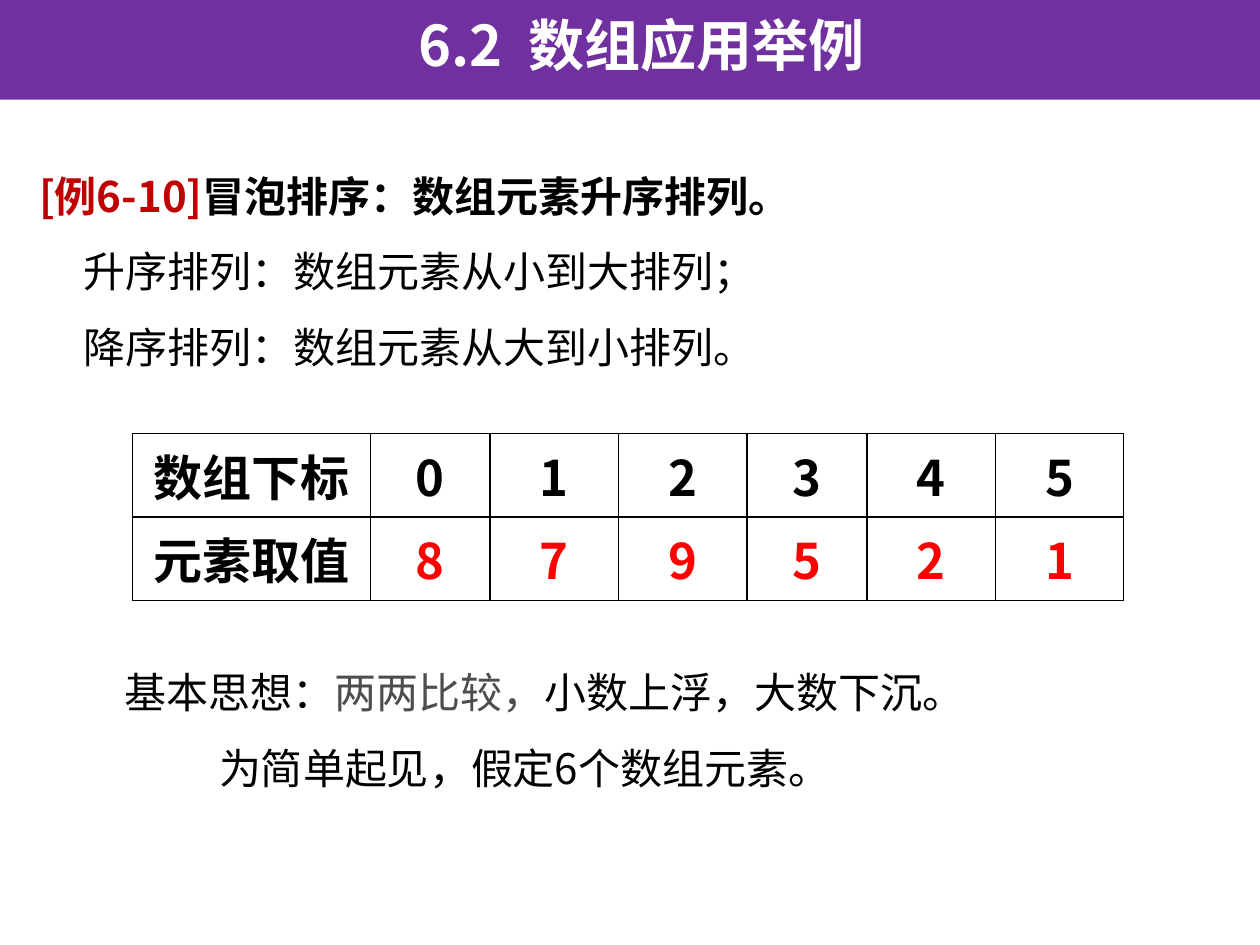
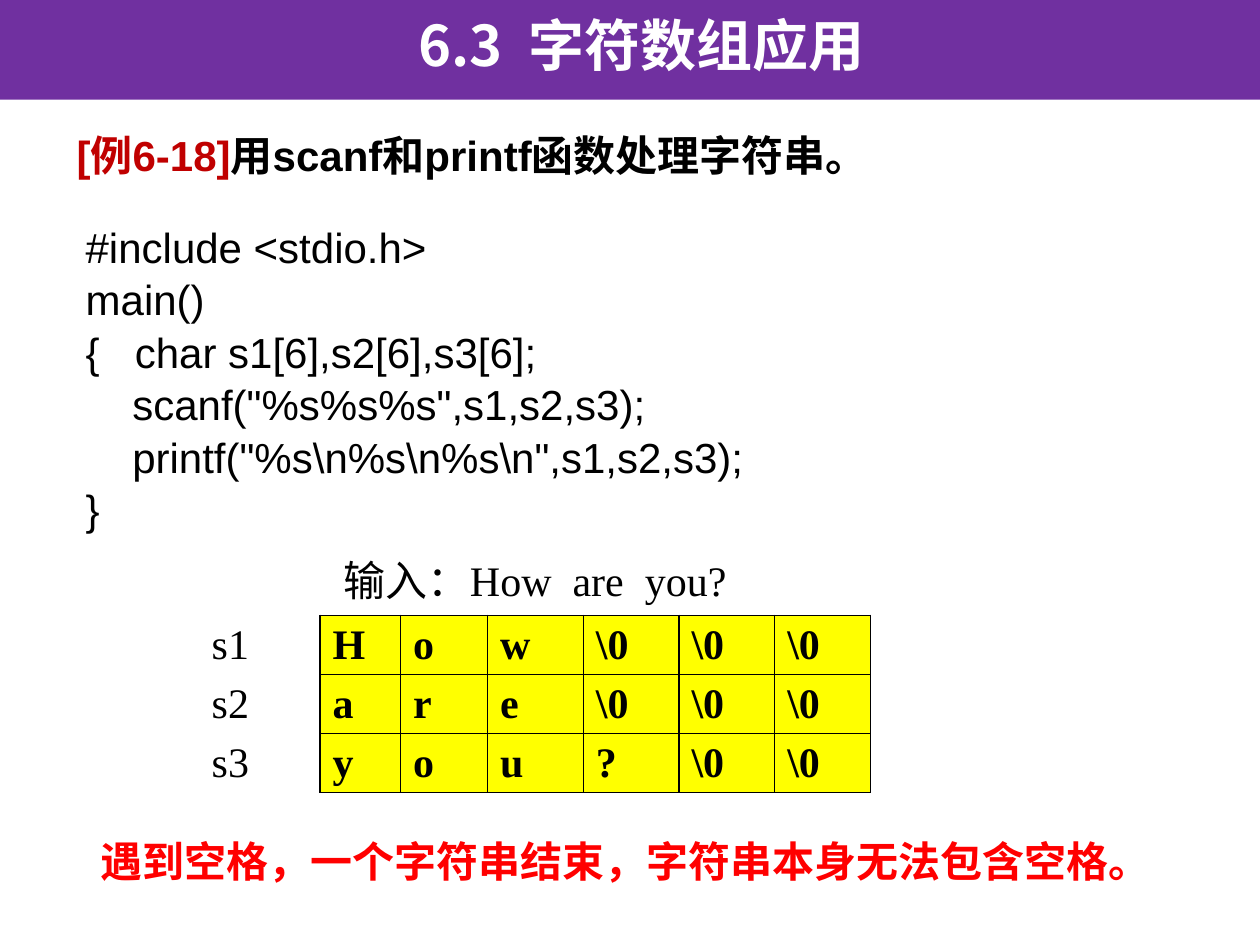
from dataclasses import dataclass
from typing import Optional

import pptx
import pptx.dml.color
import pptx.enum.text
import pptx.oxml.ns
import pptx.util
from lxml import etree

Inches = pptx.util.Inches
Pt = pptx.util.Pt
PP_ALIGN = pptx.enum.text.PP_ALIGN
MSO_ANCHOR = pptx.enum.text.MSO_ANCHOR

CJK, SANS, SERIF = "Noto Sans CJK SC", "Arial", "Times New Roman"
BLACK, WHITE, GREY = "000000", "FFFFFF", "4D4D4D"
PURPLE, DARK_RED, RED, YELLOW = "7030A0", "C00000", "FF0000", "FFFF00"
NO_STYLE = "{2D5ABB26-0587-4C30-8999-92F81FD0307C}"
WIDE_LINE, TIGHT_LINE, CODE_LINE, TITLE_LINE = 43.2, 28.8, 30, 38.4


@dataclass
class Run:
    text: str
    color: str = BLACK
    bold: bool = False
    font: str = CJK
    size: float = 24


@dataclass
class Para:
    runs: list[Run]
    left: float = 0
    first: float = 0
    line: Optional[float] = None
    align: PP_ALIGN = PP_ALIGN.LEFT


@dataclass
class Box:
    left: float
    top: float
    width: float
    height: float

    def lengths(self) -> list[int]:
        return [Inches(v) for v in (self.left, self.top, self.width, self.height)]


def rgb(color: str) -> pptx.dml.color.RGBColor:
    return pptx.dml.color.RGBColor.from_string(color)


def add_run(p, run: Run) -> None:
    r = p.add_run()
    r.text = run.text
    r.font.name = run.font
    r.font.size = Pt(run.size)
    r.font.bold = run.bold
    r.font.color.rgb = rgb(run.color)
    ea = etree.SubElement(r.font._element, pptx.oxml.ns.qn("a:ea"))
    ea.set("typeface", CJK)


def write(tf, paras: list[Para]) -> None:
    for i, para in enumerate(paras):
        p = tf.paragraphs[0] if i == 0 else tf.add_paragraph()
        p.alignment = para.align
        p.space_before = p.space_after = Pt(0)
        if para.line:
            p.line_spacing = Pt(para.line)
        pPr = p._p.get_or_add_pPr()
        pPr.set("marL", str(Inches(para.left)))
        pPr.set("indent", str(Inches(para.first)))
        etree.SubElement(pPr, pptx.oxml.ns.qn("a:buNone"))
        for run in para.runs:
            add_run(p, run)


def fill_text(sp, box: Box, paras: list[Para], top: float = 0.08, right: float = 0.1) -> None:
    sp.left, sp.top, sp.width, sp.height = box.lengths()
    tf = sp.text_frame
    tf.word_wrap = True
    tf.auto_size = pptx.enum.text.MSO_AUTO_SIZE.NONE
    tf.vertical_anchor = MSO_ANCHOR.TOP
    tf.margin_left, tf.margin_right = Inches(0.1), Inches(right)
    tf.margin_top, tf.margin_bottom = Inches(top), Inches(0.05)
    write(tf, paras)


def add_text(slide, box: Box, paras: list[Para], right: float = 0.1) -> None:
    fill_text(slide.shapes.add_textbox(*box.lengths()), box, paras, right=right)


def add_slide(prs, title: str):
    slide = prs.slides.add_slide(prs.slide_layouts[1])
    sp = slide.shapes.title
    sp.fill.solid()
    sp.fill.fore_color.rgb = rgb(PURPLE)
    run = Run(title, WHITE, True, size=32)
    fill_text(sp, Box(-0.03, 0, 10.04, 0.79),
              [Para([run], left=0.2, line=TITLE_LINE, align=PP_ALIGN.CENTER)])
    return slide


def add_table(slide, box: Box, widths: list[float], rows: int):
    table = slide.shapes.add_table(rows, len(widths), *box.lengths()).table
    table.first_row = table.horz_banding = False
    table._tbl.tblPr.find(pptx.oxml.ns.qn("a:tableStyleId")).text = NO_STYLE
    for col, width in zip(table.columns, widths):
        col.width = Inches(width)
    return table


def set_cell(cell, para: Para, edges: str = "LRTB", fill: Optional[str] = None) -> None:
    tcPr = cell._tc.get_or_add_tcPr()
    for edge in edges:
        ln = etree.SubElement(tcPr, pptx.oxml.ns.qn(f"a:ln{edge}"), w=str(Pt(1)))
        solid = etree.SubElement(ln, pptx.oxml.ns.qn("a:solidFill"))
        etree.SubElement(solid, pptx.oxml.ns.qn("a:srgbClr"), val=BLACK)
    if fill:
        cell.fill.solid()
        cell.fill.fore_color.rgb = rgb(fill)
    else:
        cell.fill.background()
    cell.vertical_anchor = MSO_ANCHOR.MIDDLE
    write(cell.text_frame, [para])


def bubble_sort_slide(prs) -> None:
    slide = add_slide(prs, "6.2  数组应用举例")
    fill_text(slide.placeholders[1], Box(0.21, 1.07, 9.57, 1.89), [
        Para([Run("[例6-10]", DARK_RED, True),
              Run("冒泡排序：数组元素升序排列。", bold=True)], line=WIDE_LINE),
        Para([Run("升序排列：数组元素从小到大排列；")], left=0.35, line=WIDE_LINE),
        Para([Run("降序排列：数组元素从大到小排列。")], left=0.35, line=WIDE_LINE),
    ])

    table = add_table(slide, Box(1.05, 3.44, 7.88, 1.2),
                      [1.89, 0.95, 1.02, 1.02, 0.95, 1.02, 1.02], 2)
    rows = [("数组下标", "012345", BLACK), ("元素取值", "879521", RED)]
    for i, (label, values, color) in enumerate(rows):
        for j, text in enumerate([label, *values]):
            run = Run(text, color if j else BLACK, True, size=28)
            set_cell(table.cell(i, j), Para([run], align=PP_ALIGN.CENTER))

    add_text(slide, Box(0.74, 5.01, 7.8, 1.42), [
        Para([Run("基本思想："), Run("两两比较，", GREY), Run("小数上浮，大数下沉。")],
             left=0.15, line=WIDE_LINE),
        Para([Run("为简单起见，假定6个数组元素。")], left=0.9, line=WIDE_LINE),
    ])


def string_input_slide(prs) -> None:
    slide = add_slide(prs, "6.3  字符数组应用")
    code = [
        ("#include <stdio.h>", 0.2, 0),
        ("main()", 0.2, 0),
        ("{\tchar s1[6],s2[6],s3[6];", 0.59, -0.39),
        ('scanf("%s%s%s",s1,s2,s3);', 0.57, 0),
        (r'printf("%s\n%s\n%s\n",s1,s2,s3);', 0.57, 0),
        ("}", 0.2, 0),
    ]
    fill_text(slide.placeholders[1], Box(0.38, 1.69, 8.11, 2.68),
              [Para([Run(text, font=SANS)], left, first, CODE_LINE)
               for text, left, first in code], top=0.05)

    table = add_table(slide, Box(1.58, 4.3, 5.33, 1.8),
                      [0.96, 0.64, 0.69] + [0.76] * 4, 4)
    table.cell(0, 0).merge(table.cell(0, 6))
    set_cell(table.cell(0, 0),
             Para([Run("输入：How  are  you?", font=SERIF)], left=1.05), edges="")
    for i, word in enumerate(["How", "are", "you?"], start=1):
        set_cell(table.cell(i, 0), Para([Run(f"s{i}", font=SERIF)]), edges="R")
        letters = list(word) + [r"\0"] * (6 - len(word))
        for j, letter in enumerate(letters, start=1):
            set_cell(table.cell(i, j), Para([Run(letter, bold=True, font=SERIF)]), fill=YELLOW)

    add_text(slide, Box(0.7, 6.55, 8.9, 0.5), [
        Para([Run("遇到空格，一个字符串结束，字符串本身无法包含空格。", RED, True)], line=TIGHT_LINE),
    ])
    add_text(slide, Box(0.31, 0.95, 6.95, 0.5), [
        Para([Run("[例6-18]", DARK_RED, True, SANS),
              Run("用scanf和printf函数处理字符串。", bold=True, font=SANS)],
             left=0.2, line=TIGHT_LINE),
    ], right=0.2)


def main() -> None:
    prs = pptx.Presentation()
    prs.slide_width, prs.slide_height = Inches(10), Inches(7.5)
    bubble_sort_slide(prs)
    string_input_slide(prs)
    prs.save("out.pptx")


if __name__ == "__main__":
    main()
